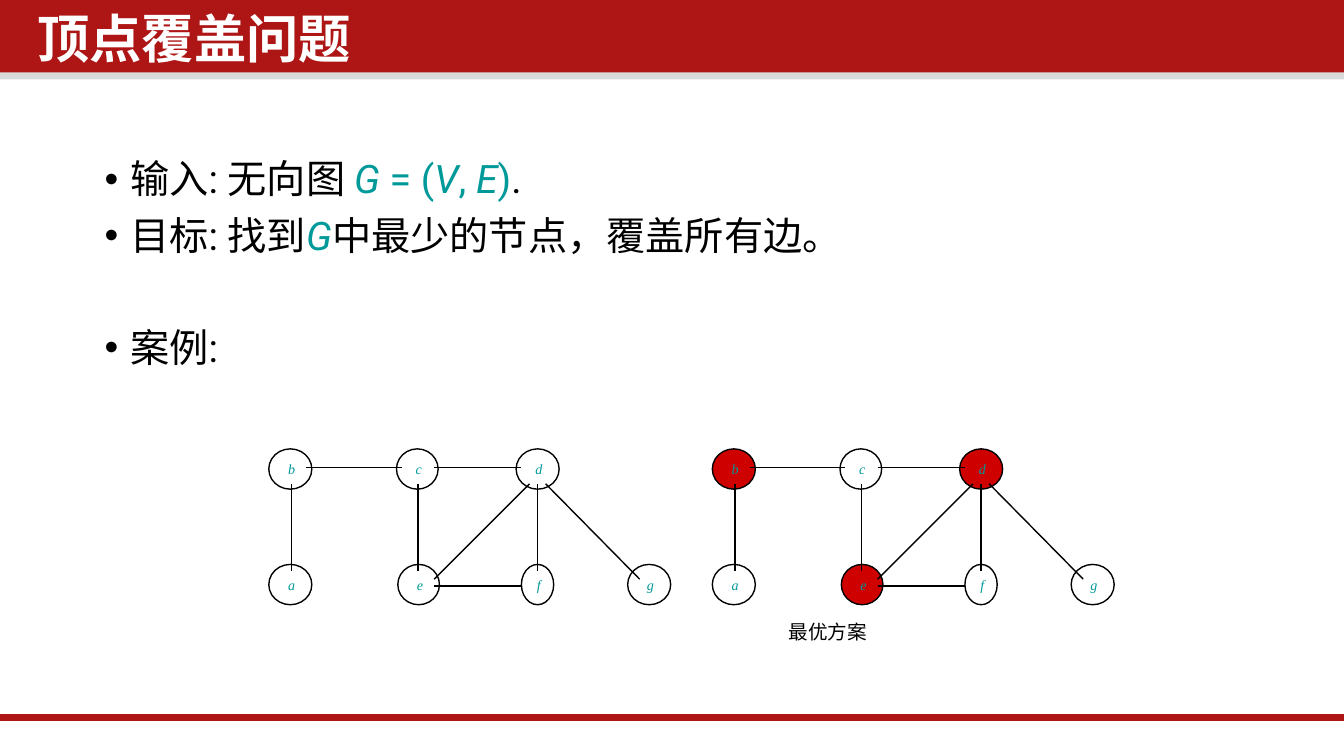
from dataclasses import dataclass

from lxml import etree
from pptx import Presentation
from pptx import util as u
from pptx.dml.color import RGBColor
from pptx.enum import shapes, text
from pptx.oxml.ns import qn


@dataclass(frozen=True)
class Theme:
    red: str = "AE1616"
    gray: str = "D9D9D9"
    white: str = "FFFFFF"
    black: str = "000000"
    teal: str = "009999"
    mark: str = "CE0000"
    cjk: str = "Noto Sans CJK SC"
    sans: str = "Roboto"
    serif: str = "Times New Roman"
    title: float = 28
    body: float = 21
    note: float = 10.5
    node: float = 7.5
    thin: float = 0.75


@dataclass(frozen=True)
class Node:
    name: str
    x: float  # left
    y: float  # top
    wide: float = 0.32


@dataclass(frozen=True)
class Edge:
    x1: float
    y1: float
    x2: float
    y2: float


T = Theme()
TOP, LOW, HIGH = 3.34, 4.2, 0.3
NODES = [
    Node("b", 2, TOP), Node("a", 2, LOW), Node("c", 2.95, TOP, 0.31),
    Node("d", 3.84, TOP), Node("e", 2.96, LOW, 0.31),
    Node("f", 3.88, LOW, 0.24), Node("g", 4.67, LOW),
]
# Straight drops below b, c and d, then the level and slanted edges
EDGES = [Edge(x, 3.6, x, 4.25) for x in (2.17, 3.11, 4)] + [
    Edge(2.28, 3.48, 2.99, 3.48), Edge(3.23, 3.48, 3.88, 3.48),
    Edge(3.23, 4.36, 3.88, 4.36), Edge(3.94, 3.6, 3.23, 4.31),
    Edge(4.06, 3.6, 4.76, 4.31),
]


def add_run(para, words: str, size: float, font: str, tint: str,
            bold: bool = False, slant: bool = False) -> None:
    run = para.add_run()
    run.text = words
    face = run.font
    face.size, face.name = u.Pt(size), font
    face.bold, face.italic = bold, slant
    face.color.rgb = RGBColor.from_string(tint)
    east = etree.SubElement(run._r.get_or_add_rPr(), qn("a:ea"))
    east.set("typeface", T.cjk)


def add_form(home, kind, x: float, y: float, w: float, h: float,
             fill: str = "", line: str = ""):
    form = home.add_shape(kind, u.Inches(x), u.Inches(y), u.Inches(w), u.Inches(h))
    form.shadow.inherit = False
    if fill:
        form.fill.solid()
        form.fill.fore_color.rgb = RGBColor.from_string(fill)
    else:
        form.fill.background()
    if line:
        form.line.color.rgb = RGBColor.from_string(line)
        form.line.width = u.Pt(T.thin)
    else:
        form.line.fill.background()
    return form


def add_line(home, edge: Edge, tint: str, width: float, dx: float = 0) -> None:
    line = home.add_connector(
        shapes.MSO_CONNECTOR.STRAIGHT, u.Inches(edge.x1 + dx), u.Inches(edge.y1),
        u.Inches(edge.x2 + dx), u.Inches(edge.y2))
    line.line.color.rgb = RGBColor.from_string(tint)
    line.line.width = u.Pt(width)
    etree.SubElement(line._element.spPr, qn("a:effectLst"))


def add_box(home, x: float, y: float, w: float, h: float, wrap: bool = True):
    box = home.add_textbox(u.Inches(x), u.Inches(y), u.Inches(w), u.Inches(h))
    box.text_frame.word_wrap = wrap
    return box.text_frame


def add_graph(home, dx: float = 0, cover: str = "") -> None:
    for node in NODES:
        form = add_form(home, shapes.MSO_SHAPE.OVAL, node.x + dx, node.y,
                        node.wide, HIGH,
                        T.mark if node.name in cover else "", T.black)
        frame = form.text_frame
        frame.word_wrap = False
        frame.vertical_anchor = text.MSO_ANCHOR.MIDDLE
        frame.margin_left, frame.margin_right = u.Inches(0.02), 0
        frame.margin_top = frame.margin_bottom = 0
        para = frame.paragraphs[0]
        para.alignment = text.PP_ALIGN.CENTER
        add_run(para, node.name, T.node, T.serif, T.teal, slant=True)
    for edge in EDGES:
        add_line(home, edge, T.black, T.thin, dx)


def add_point(para, parts: list[tuple[str, str, bool]], gap: float) -> None:
    para.line_spacing, para.space_before = 0.9, u.Pt(gap)
    props = para._p.get_or_add_pPr()
    props.set("marL", str(u.Inches(0.19)))
    props.set("indent", str(u.Inches(-0.19)))
    etree.SubElement(props, qn("a:buFont")).set("typeface", "Arial")
    etree.SubElement(props, qn("a:buChar")).set("char", "•")
    for words, tint, slant in parts:
        add_run(para, words, T.body, T.sans, tint, slant=slant)


def main() -> None:
    # A 16:9 slide
    deck = Presentation()
    deck.slide_width = u.Inches(10)
    deck.slide_height = deck.slide_width * 9 // 16
    home = deck.slides.add_slide(deck.slide_layouts[6]).shapes

    # Header bands and footer rule
    add_form(home, shapes.MSO_SHAPE.RECTANGLE, 0, 0.5, 10, 0.09, T.gray)
    add_form(home, shapes.MSO_SHAPE.RECTANGLE, 0, 0, 10, 0.54, T.red)
    add_line(home, Edge(-0.02, 5.34, 10, 5.34), T.red, 4)

    # Bullet points, the last one set apart
    points = [
        ([("输入: 无向图 ", T.black, False), ("G", T.teal, True),
          (" = (", T.teal, False), ("V", T.teal, True), (", ", T.teal, False),
          ("E", T.teal, True), (")", T.teal, False), (".", T.black, False)], 7.5),
        ([("目标: 找到", T.black, False), ("G", T.teal, True),
          ("中最少的节点，覆盖所有边。", T.black, False)], 7.5),
        ([("案例:", T.black, False)], 37.5),
    ]
    frame = add_box(home, 0.68, 1.14, 8.88, 3.47)
    for i, (parts, gap) in enumerate(points):
        para = frame.add_paragraph() if i else frame.paragraphs[0]
        add_point(para, parts, gap)

    # Title
    frame = add_box(home, 0.21, 0.06, 7.64, 0.59)
    frame.margin_left = frame.margin_right = u.Inches(0.07)
    frame.margin_top = frame.margin_bottom = u.Inches(0.04)
    para = frame.paragraphs[0]
    para.line_spacing, para.space_before = 0.9, u.Pt(7.5)
    add_run(para, "顶点覆盖问题", T.title, T.cjk, T.white, bold=True)

    # Sample graph, then the same graph with its best cover
    add_graph(home)
    group = home.add_group_shape().shapes
    add_graph(group, 3.3, "bde")
    frame = add_box(group, 5.77, 4.56, 0.78, 0.28, wrap=False)
    add_run(frame.paragraphs[0], "最优方案", T.note, T.serif, T.black)

    deck.save("out.pptx")


if __name__ == "__main__":
    main()
